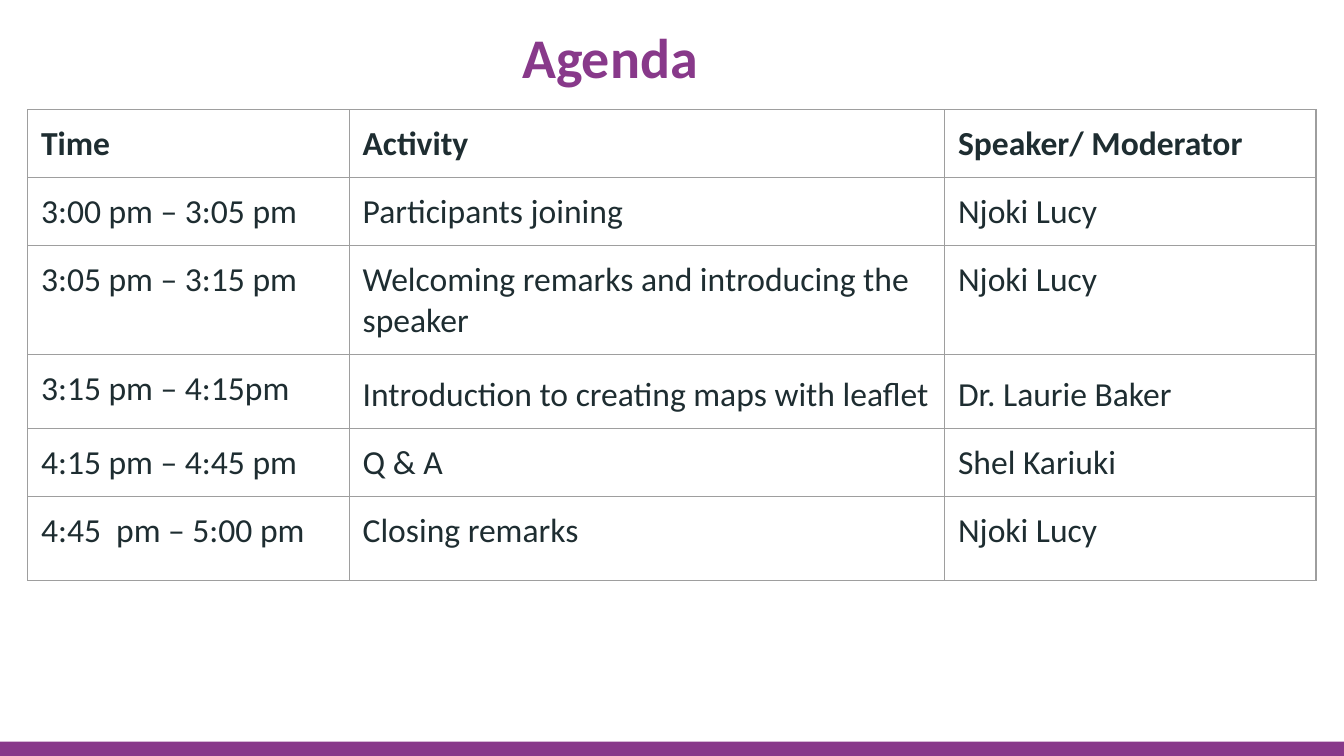
import pptx
import pptx.dml.color
import pptx.enum.shapes
import pptx.enum.text
import pptx.oxml
import pptx.oxml.ns
import pptx.util

Pt = pptx.util.Pt
RGBColor = pptx.dml.color.RGBColor
PURPLE = RGBColor(0x88, 0x39, 0x8A)
INK = RGBColor(0x1E, 0x2D, 0x31)
WHITE = RGBColor(0xFF, 0xFF, 0xFF)
BORDER = RGBColor(0x9E, 0x9E, 0x9E)
FONT = "Calibri"
SLIDE_W, SLIDE_H = 720, 405
INSET = 7.2

COLUMNS = [172.3, 319, 198.9]
ROW_HEIGHTS = [31, 34.5, 45, 34.5, 34.5, 45]
AGENDA = [
    ("Time", "Activity", "Speaker/ Moderator"),
    ("3:00 pm – 3:05 pm", "Participants joining", "Njoki Lucy"),
    ("3:05 pm – 3:15 pm", "Welcoming remarks and introducing the speaker", "Njoki Lucy"),
    ("3:15 pm – 4:15pm", "Introduction to creating maps with leaflet", "Dr. Laurie Baker"),
    ("4:15 pm – 4:45 pm", "Q & A", "Shel Kariuki"),
    ("4:45  pm – 5:00 pm", "Closing remarks", "Njoki Lucy"),
]
# Cells set with looser line spacing, as (row, column)
LOOSE_CELLS = {(3, 1), (3, 2)}


def add_run(p, text, size, color, bold=False):
    r = p.add_run()
    r.text = text
    r.font.name = FONT
    r.font.size = Pt(size)
    r.font.bold = bold
    r.font.color.rgb = color


def set_insets(box):
    box.margin_left = box.margin_right = Pt(INSET)
    box.margin_top = box.margin_bottom = Pt(INSET)


def set_borders(cell):
    # Border lines must precede the fill in the cell properties
    tcPr = cell._tc.get_or_add_tcPr()
    for i, side in enumerate(("lnL", "lnR", "lnT", "lnB")):
        tcPr.insert(i, pptx.oxml.parse_xml(
            f'<a:{side} {pptx.oxml.ns.nsdecls("a")} w="{Pt(0.75)}">'
            f'<a:solidFill><a:srgbClr val="{BORDER}"/></a:solidFill></a:{side}>'))


def add_title(s, text, left, top, width, height):
    sp = s.shapes.title
    sp.left, sp.top, sp.width, sp.height = Pt(left), Pt(top), Pt(width), Pt(height)
    tf = sp.text_frame
    tf.auto_size = pptx.enum.text.MSO_AUTO_SIZE.NONE
    tf.word_wrap = True
    tf.vertical_anchor = pptx.enum.text.MSO_ANCHOR.MIDDLE
    set_insets(tf)
    p = tf.paragraphs[0]
    p.alignment = pptx.enum.text.PP_ALIGN.CENTER
    add_run(p, text, 30, PURPLE, bold=True)


def add_agenda(s, left, top):
    frame = s.shapes.add_table(len(AGENDA), len(COLUMNS), Pt(left), Pt(top),
                               Pt(sum(COLUMNS)), Pt(sum(ROW_HEIGHTS)))
    table = frame.table
    table.horz_banding = False
    for column, width in zip(table.columns, COLUMNS):
        column.width = Pt(width)
    for i, (height, texts) in enumerate(zip(ROW_HEIGHTS, AGENDA)):
        table.rows[i].height = Pt(height)
        for j, text in enumerate(texts):
            cell = table.cell(i, j)
            cell.fill.solid()
            cell.fill.fore_color.rgb = WHITE
            set_insets(cell)
            set_borders(cell)
            p = cell.text_frame.paragraphs[0]
            if (i, j) in LOOSE_CELLS:
                p.line_spacing = 1.15
            add_run(p, text, 18, INK, bold=i == 0)


def add_footer_bar(s, left, top, width, height):
    sp = s.shapes.add_shape(pptx.enum.shapes.MSO_SHAPE.RECTANGLE,
                            Pt(left), Pt(top), Pt(width), Pt(height))
    sp.shadow.inherit = False
    sp.fill.solid()
    sp.fill.fore_color.rgb = PURPLE
    sp.line.fill.background()


def main():
    prs = pptx.Presentation()
    prs.slide_width, prs.slide_height = Pt(SLIDE_W), Pt(SLIDE_H)
    s = prs.slides.add_slide(prs.slide_layouts[5])
    add_footer_bar(s, 0, SLIDE_H - 7.7, SLIDE_W, 7.7)
    add_agenda(s, 14.8, 58.8)
    add_title(s, "Agenda", 80.6, 11.5, 492.5, 36.7)
    prs.save("out.pptx")


if __name__ == "__main__":
    main()
